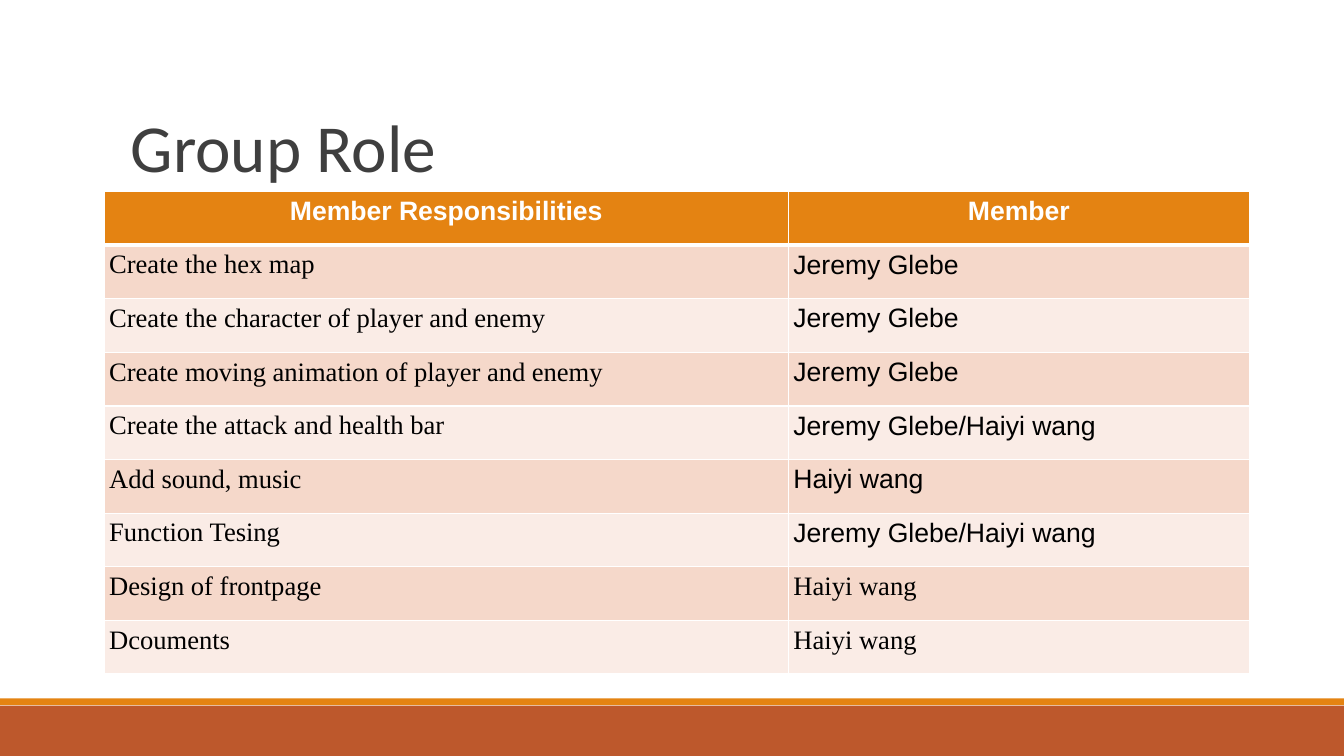
import pptx
import pptx.util
import pptx.dml.color
import pptx.enum.shapes
import pptx.enum.text
import pptx.oxml
import pptx.oxml.ns
from dataclasses import dataclass
from lxml import etree

Pt = pptx.util.Pt
RGB = pptx.dml.color.RGBColor.from_string
ALIGN = pptx.enum.text.PP_ALIGN


@dataclass(frozen=True)
class Theme:
    orange: str = "E48312"
    rust: str = "BD582C"
    rule: str = "7F7F7F"
    title: str = "3F3F3F"
    white: str = "FFFFFF"
    black: str = "000000"
    bands: tuple = ("F5D8CA", "FAECE6")
    title_font: str = "Calibri"
    sans: str = "Arial"
    serif: str = "Times New Roman"
    title_size: int = 48
    table_size: int = 19


T = Theme()

HEADER = ("Member Responsibilities", "Member")
# Responsibility, member, font of the member cell
ROLES = [
    ("Create the hex map", "Jeremy Glebe", T.sans),
    ("Create the character of player and enemy", "Jeremy Glebe", T.sans),
    ("Create moving animation of player and enemy", "Jeremy Glebe", T.sans),
    ("Create the attack and health bar", "Jeremy Glebe/Haiyi wang", T.sans),
    ("Add sound, music", "Haiyi wang", T.sans),
    ("Function Tesing", "Jeremy Glebe/Haiyi wang", T.sans),
    ("Design of frontpage", "Haiyi wang", T.serif),
    ("Dcouments", "Haiyi wang", T.serif),
]
COL_WIDTHS = (488.8, 329.2)
ROW_HEIGHT = 38.3


def set_attrs(obj, values):
    for name, value in values.items():
        setattr(obj, name, value)


def write(p, text, font, size, color, bold=False):
    r = p.add_run()
    r.text = text
    set_attrs(r.font, {"name": font, "size": Pt(size), "bold": bold})
    r.font.color.rgb = RGB(color)


def add_bar(s, top, height, color):
    sp = s.shapes.add_shape(pptx.enum.shapes.MSO_SHAPE.RECTANGLE,
                            0, Pt(top), Pt(960), Pt(height))
    sp.shadow.inherit = False
    sp.fill.solid()
    sp.fill.fore_color.rgb = RGB(color)
    sp.line.fill.background()


def add_rule(s, left, right, y):
    ln = s.shapes.add_connector(pptx.enum.shapes.MSO_CONNECTOR.STRAIGHT,
                                Pt(left), Pt(y), Pt(right), Pt(y))
    ln.line.color.rgb = RGB(T.rule)
    ln.line.width = Pt(0.75)
    etree.SubElement(ln._element.spPr, pptx.oxml.ns.qn("a:effectLst"))


def add_title(s, text):
    tf = s.shapes.add_textbox(Pt(86.4), Pt(22.3), Pt(792), Pt(114.5)).text_frame
    set_attrs(tf, {"word_wrap": True,
                   "vertical_anchor": pptx.enum.text.MSO_ANCHOR.BOTTOM})
    p = tf.paragraphs[0]
    p.line_spacing = 0.85
    write(p, text, T.title_font, T.title_size, T.title)


def add_borders(cell, bottom, top):
    """Draw white cell borders; the borders must precede the fill in the XML."""
    tc_pr = cell._tc.get_or_add_tcPr()
    for i, (side, width) in enumerate(zip("LRTB", (1, 1, top, bottom))):
        tc_pr.insert(i, pptx.oxml.parse_xml(
            f'<a:ln{side} {pptx.oxml.ns.nsdecls("a")} w="{Pt(width)}"><a:solidFill>'
            f'<a:srgbClr val="{T.white}"/></a:solidFill></a:ln{side}>'))


def fill_cell(cell, text, font, fill, color=T.black, bold=False,
              align=ALIGN.LEFT, top=1, bottom=1):
    set_attrs(cell, {f"margin_{side}": Pt(3.6)
                     for side in ("left", "top", "right", "bottom")})
    cell.fill.solid()
    cell.fill.fore_color.rgb = RGB(fill)
    add_borders(cell, bottom, top)
    p = cell.text_frame.paragraphs[0]
    p.alignment = align
    write(p, text, font, T.table_size, color, bold)


def add_role_table(s):
    n_rows = len(ROLES) + 1
    table = s.shapes.add_table(n_rows, len(HEADER), Pt(74.4), Pt(136.8),
                               Pt(sum(COL_WIDTHS)), Pt(n_rows * ROW_HEIGHT)).table
    for col, width in zip(table.columns, COL_WIDTHS):
        col.width = Pt(width)
    for row in table.rows:
        row.height = Pt(ROW_HEIGHT)
    for c, text in enumerate(HEADER):
        fill_cell(table.cell(0, c), text, T.sans, T.orange, T.white,
                  bold=True, align=ALIGN.CENTER, bottom=3)
    for i, (role, member, font) in enumerate(ROLES):
        band = T.bands[i % 2]
        top = 3 if i == 0 else 1
        fill_cell(table.cell(i + 1, 0), role, T.serif, band, top=top)
        fill_cell(table.cell(i + 1, 1), member, font, band, top=top)


def main():
    prs = pptx.Presentation()
    set_attrs(prs, {"slide_width": Pt(960), "slide_height": Pt(540)})
    s = prs.slides.add_slide(prs.slide_layouts[6])
    add_bar(s, 504, 36, T.rust)
    add_bar(s, 498.8, 5, T.orange)
    add_rule(s, 94.3, 879.1, 136.8)
    add_title(s, "Group Role")
    add_role_table(s)
    prs.save("out.pptx")


if __name__ == "__main__":
    main()
